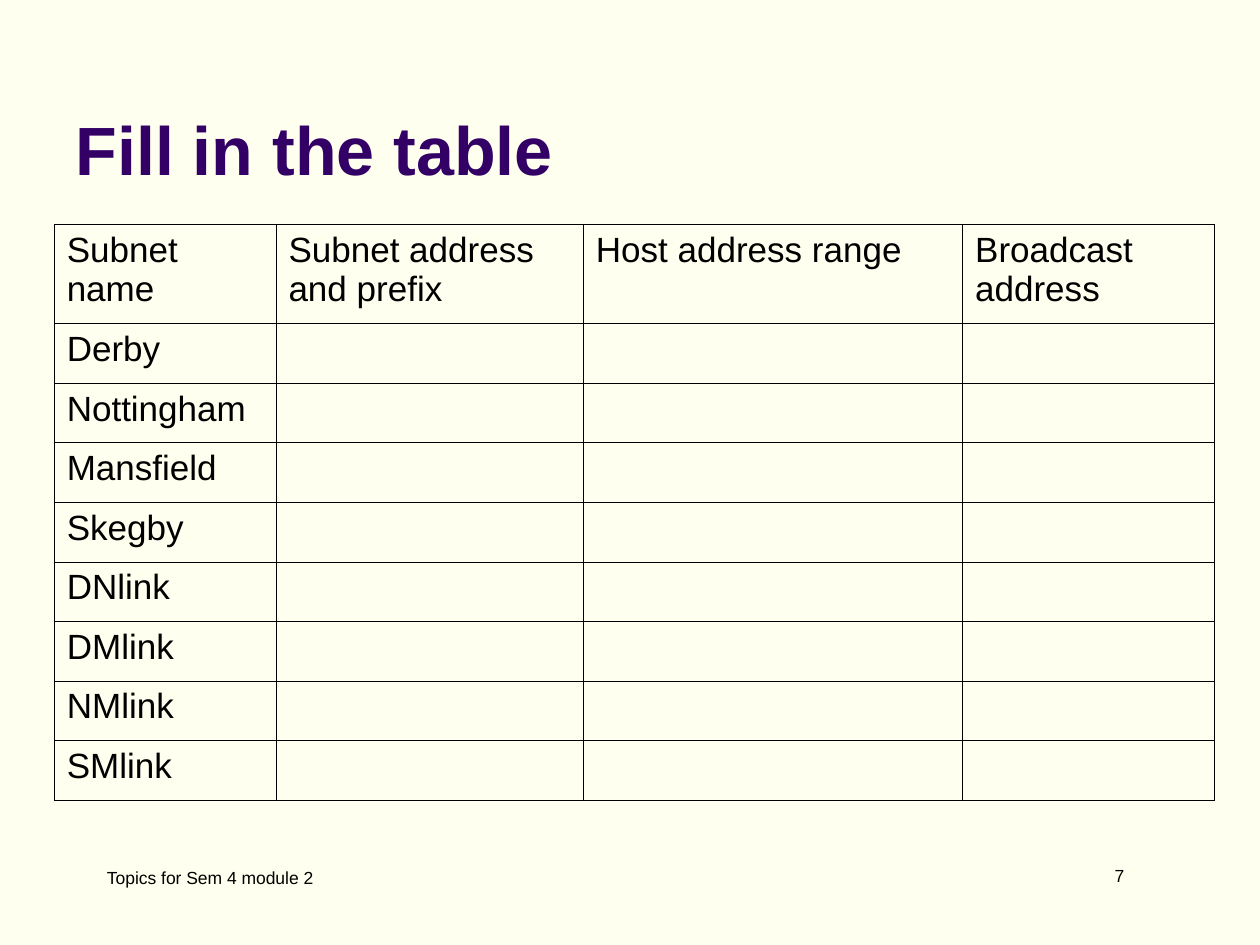
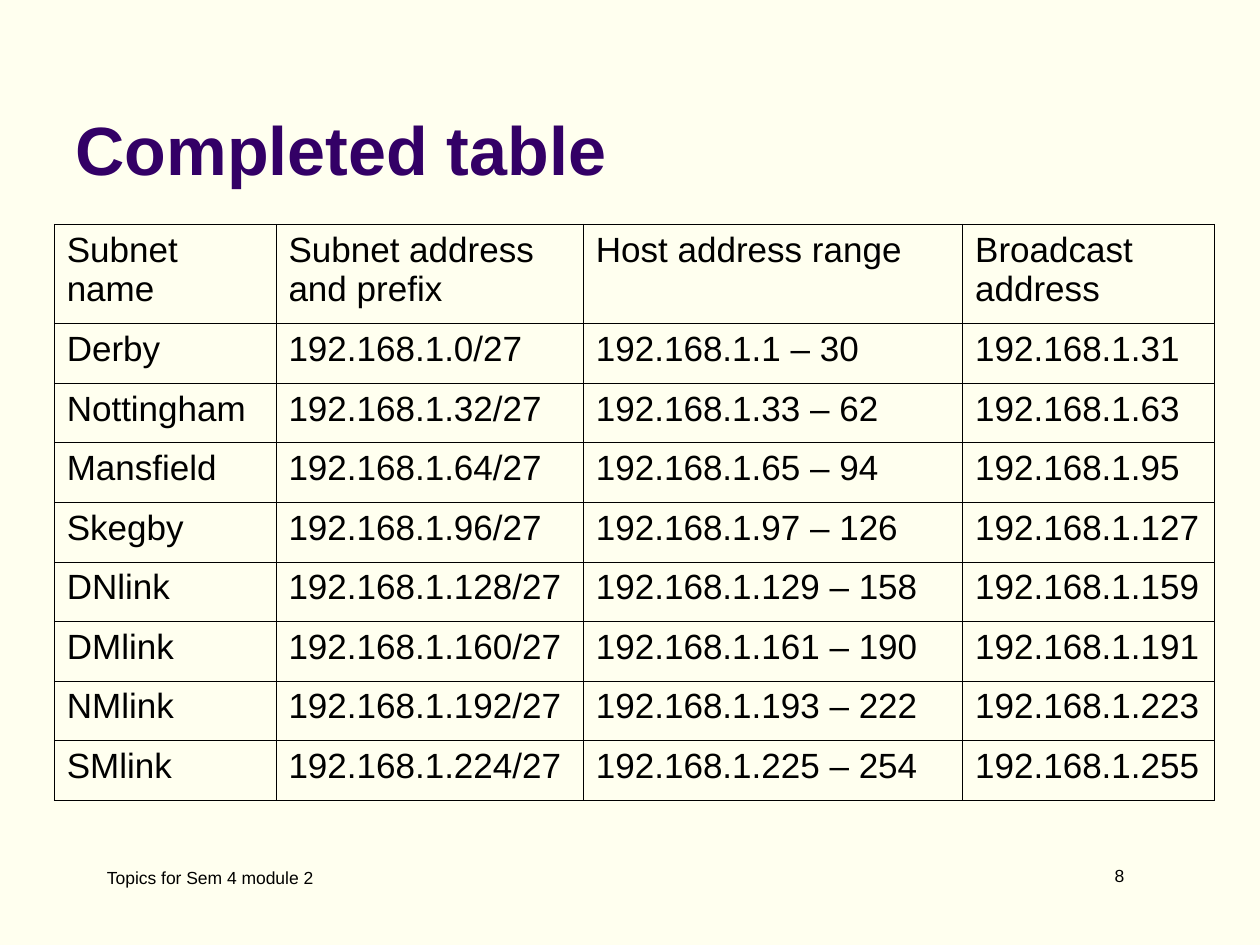
from dataclasses import dataclass

from lxml.etree import SubElement
from pptx import Presentation
from pptx.dml.color import RGBColor
from pptx.enum.text import MSO_ANCHOR as Anchor, MSO_AUTO_SIZE as AutoSize, PP_ALIGN as Align
from pptx.oxml.ns import qn
from pptx.util import Inches, Pt


@dataclass(frozen=True)
class Theme:
    font: str = "Arial"
    background: RGBColor = RGBColor(0xFF, 0xFF, 0xEF)
    title_color: RGBColor = RGBColor(0x33, 0x00, 0x66)
    text_color: RGBColor = RGBColor(0x00, 0x00, 0x00)
    border_color: str = "000000"
    border_width: Pt = Pt(0.45)
    title_size: Pt = Pt(39)
    table_size: Pt = Pt(20)
    footer_size: Pt = Pt(10)


FOOTER = "Topics for Sem 4 module 2"
FIRST_PAGE = 7
HEADERS = ["Subnet name", "Subnet address and prefix", "Host address range", "Broadcast address"]
SUBNETS = ["Derby", "Nottingham", "Mansfield", "Skegby", "DNlink", "DMlink", "NMlink", "SMlink"]
NETWORK = "192.168.1"
PREFIX = 27
BLOCK_SIZE = 2 ** (32 - PREFIX)

COLUMN_WIDTHS = [1.76, 2.44, 3.01, 2.0]
TABLE_HEIGHT = 4.57
HEADER_HEIGHT = 0.79


class SlideBuilder:
    def __init__(self, presentation, theme):
        self.presentation = presentation
        self.theme = theme
        self.slide = None
        fill = presentation.slide_master.background.fill
        fill.solid()
        fill.fore_color.rgb = theme.background

    def add_slide(self, title, page):
        title_only = self.presentation.slide_layouts[5]
        self.slide = self.presentation.slides.add_slide(title_only)
        self.add_text(str(page), (6.97, 6.82, 2.05, 0.27), Align.RIGHT)
        self.set_title(title)
        self.add_text(FOOTER, (0.75, 6.83, 2.08, 0.5))

    def fill_frame(self, frame, text, size, color, bold=False, align=Align.LEFT):
        paragraph = frame.paragraphs[0]
        paragraph.alignment = align
        run = paragraph.add_run()
        run.text = text
        formats = {"name": self.theme.font, "size": size, "bold": bold}
        for attribute, value in formats.items():
            setattr(run.font, attribute, value)
        run.font.color.rgb = color

    def set_title(self, text):
        title = self.slide.shapes.title
        position = {"left": 0.5, "top": 0.13, "width": 8.25, "height": 1.42}
        for attribute, value in position.items():
            setattr(title, attribute, Inches(value))
        frame = title.text_frame
        frame.auto_size = AutoSize.NONE
        frame.vertical_anchor = Anchor.BOTTOM
        self.fill_frame(frame, text, self.theme.title_size, self.theme.title_color, bold=True)

    def add_text(self, text, box, align=Align.LEFT):
        frame = self.slide.shapes.add_textbox(*map(Inches, box)).text_frame
        frame.word_wrap = True
        self.fill_frame(frame, text, self.theme.footer_size, self.theme.text_color, align=align)

    def add_table(self, rows):
        table = self.slide.shapes.add_table(
            len(rows), len(COLUMN_WIDTHS), Inches(0.43), Inches(1.78),
            Inches(sum(COLUMN_WIDTHS)), Inches(TABLE_HEIGHT)).table
        table.first_row = table.horz_banding = False
        for column, width in zip(table.columns, COLUMN_WIDTHS):
            column.width = Inches(width)
        body_height = (TABLE_HEIGHT - HEADER_HEIGHT) / (len(rows) - 1)
        for index, (table_row, texts) in enumerate(zip(table.rows, rows)):
            table_row.height = Inches(body_height if index else HEADER_HEIGHT)
            for cell, text in zip(table_row.cells, texts):
                self.add_borders(cell)
                cell.fill.background()
                if text:
                    self.fill_frame(cell.text_frame, text, self.theme.table_size, self.theme.text_color)

    def add_borders(self, cell):
        properties = cell._tc.get_or_add_tcPr()
        for side in ("lnL", "lnR", "lnT", "lnB"):
            line = SubElement(properties, qn(f"a:{side}"), w=str(int(self.theme.border_width)))
            fill = SubElement(line, qn("a:solidFill"))
            SubElement(fill, qn("a:srgbClr"), val=self.theme.border_color)


def subnet_row(index, name):
    """Return the name, network, host range and broadcast of one equal-sized subnet."""
    start = index * BLOCK_SIZE
    broadcast = start + BLOCK_SIZE - 1
    return [
        name,
        f"{NETWORK}.{start}/{PREFIX}",
        f"{NETWORK}.{start + 1} – {broadcast - 1}",
        f"{NETWORK}.{broadcast}",
    ]


def main():
    presentation = Presentation()
    presentation.slide_width = Inches(10)
    presentation.slide_height = Inches(7.5)
    builder = SlideBuilder(presentation, Theme())

    blank_rows = [[name, "", "", ""] for name in SUBNETS]
    completed_rows = [subnet_row(index, name) for index, name in enumerate(SUBNETS)]
    pages = [("Fill in the table", blank_rows), ("Completed table", completed_rows)]
    for page, (title, rows) in enumerate(pages, FIRST_PAGE):
        builder.add_slide(title, page)
        builder.add_table([HEADERS, *rows])

    presentation.save("out.pptx")


if __name__ == "__main__":
    main()
